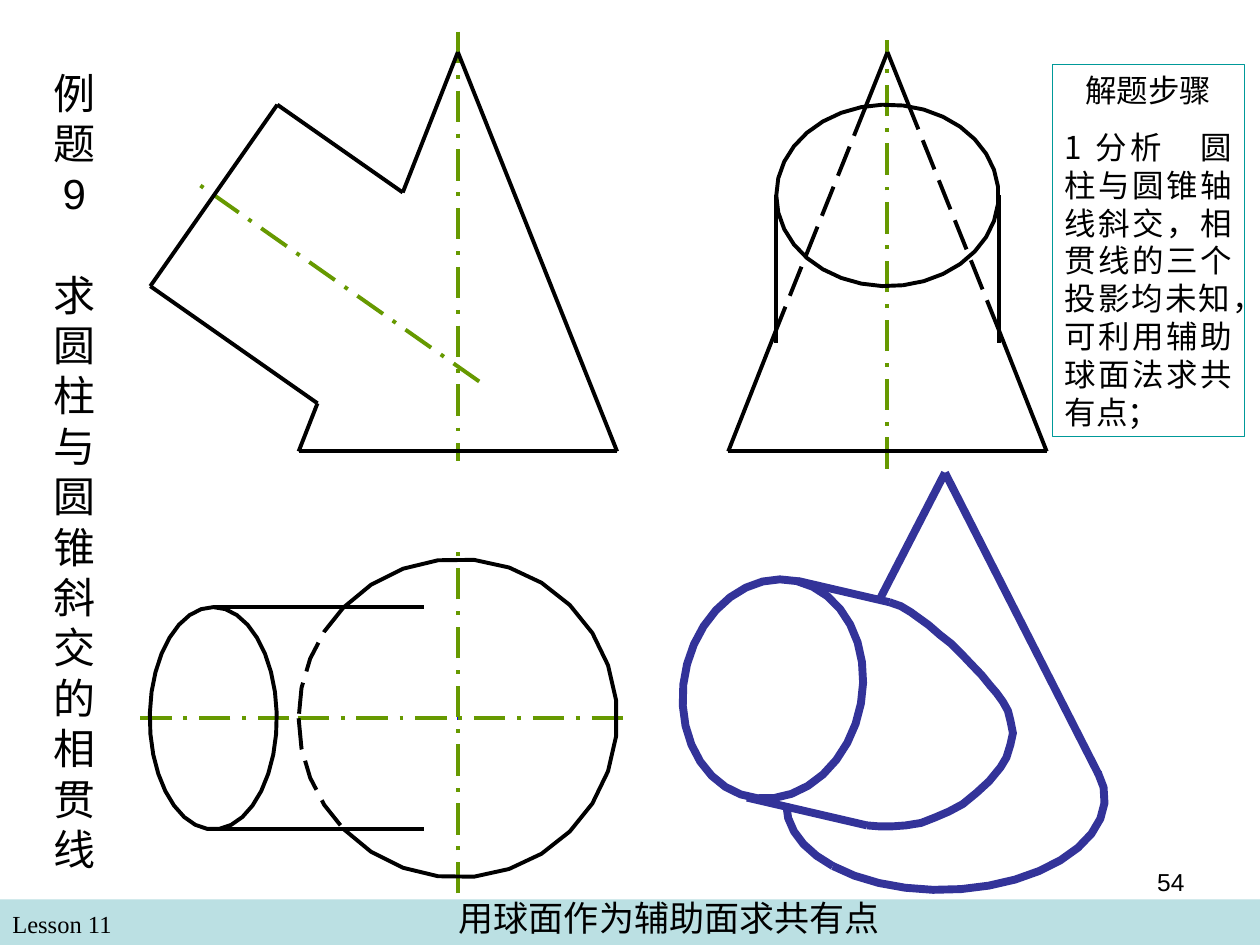
from itertools import pairwise
from math import cos, radians, sin

from lxml import etree
from pptx import Presentation
from pptx.dml.color import RGBColor
from pptx.enum import dml, shapes, text
from pptx.oxml.ns import qn
from pptx.util import Cm, Pt

BLACK, GREEN, INDIGO, BLUE = "000000", "669900", "333399", "0000FF"
SOLID = None
DASHED = dml.MSO_LINE.LONG_DASH
CENTRE_LINE = dml.MSO_LINE.LONG_DASH_DOT

TITLE = ["例题9", "求圆柱与圆锥斜交的相贯线"]
STEPS = ["解题步骤",
         "1 分析　圆柱与圆锥轴线斜交，相贯线的三个投影均未知，可利用辅助球面法求共有点；"]

# Shared dimensions of the three views, in cm
FRONT_X, SIDE_X, PLAN_Y = 9.23, 17.89, 14.48
APEX_Y, BASE_Y = 1.05, 9.1
CONE_R, TUBE_R = 3.21, 2.24
TUBE_X, TUBE_Y = 4.3, 3.94
PLAN_TUBE_END, SIDE_TUBE_END = 8.54, 6.91
HIDDEN_TOP, HIDDEN_BOTTOM = (0.44, 2.15), (TUBE_R, 6.64)

AXES = [
    [(6, PLAN_Y), (12.75, PLAN_Y)],
    [(FRONT_X, 18.01), (FRONT_X, 10.95)],
    [(FRONT_X, 0.64), (FRONT_X, 9.3)],
    [(SIDE_X, 9.45), (SIDE_X, 0.8)],
    [(9.66, 7.69), (4.04, 3.74)],
    [(5.83, PLAN_Y), (2.75, PLAN_Y)],
]
FRONT_OUTLINE = [
    (FRONT_X + CONE_R, BASE_Y), (FRONT_X - CONE_R, BASE_Y), (6.4, 8.13),
    (3.03, 5.77), (5.59, 2.11), (8.12, 3.88), (FRONT_X, APEX_Y),
    (FRONT_X + CONE_R, BASE_Y),
]
# Ellipses: centre x, centre y, radius x, radius y, skew in degrees
PLAN_CONE = (FRONT_X, PLAN_Y, CONE_R, CONE_R, 0)
PLAN_TUBE = (TUBE_X, PLAN_Y, 1.28, TUBE_R, 0)
SIDE_TUBE = (SIDE_X, TUBE_Y, TUBE_R, 1.83, 0)
SOLID_TUBE = (15.58, 13.89, 1.82, 2.21, -5)
SOLID_BASE = (19.06, 16.15, CONE_R, 1.79, -2)
# Arcs: ellipse, start angle, end angle, number of chords, dash
VIEW_ARCS = [
    (PLAN_CONE, 224, 180, 4, DASHED),
    (PLAN_CONE, 136, -136, 21, SOLID),
    (PLAN_CONE, 180, 136, 4, DASHED),
    (PLAN_TUBE, 270, -90, 33, SOLID),
    (SIDE_TUBE, 180, -180, 33, SOLID),
]
SOLID_ARCS = [
    (SOLID_BASE, 180, 135, 5, SOLID),
    (SOLID_BASE, 135, -17, 15, SOLID),
    (SOLID_TUBE, 209, -151, 33, SOLID),
]
SOLID_INTERSECTION = [
    (17.93, 12.14), (18.16, 12.22), (18.36, 12.34), (18.47, 12.42), (18.72, 12.6),
    (18.95, 12.8), (19.18, 12.98), (19.38, 13.18), (19.58, 13.39), (19.79, 13.61),
    (19.96, 13.82), (20.09, 13.97), (20.22, 14.15), (20.32, 14.33), (20.37, 14.53),
    (20.42, 14.78), (20.37, 15.01), (20.29, 15.27), (20.17, 15.47), (19.94, 15.75),
    (19.69, 15.98), (19.41, 16.21), (19.13, 16.36), (18.85, 16.48), (18.57, 16.59),
    (18.26, 16.64), (17.98, 16.66), (17.73, 16.66), (17.48, 16.64),
]
SOLID_EDGES = [
    [(15.06, 16.08), (17.48, 16.64)],
    [(17.93, 12.14), (16.08, 11.71)],
    [(19.05, 9.53), (17.73, 12.09)],
    [(22.14, 15.6), (19.05, 9.53)],
]


def rgb(colour):
    return RGBColor.from_string(colour)


def style_line(line, colour, width, dash):
    line.color.rgb = rgb(colour)
    line.width = Pt(width)
    if dash:
        line.dash_style = dash


def draw_lines(parent, points, colour=BLACK, width=2.25, dash=SOLID):
    """Join consecutive points with straight connectors."""
    for start, end in pairwise(points):
        edge = parent.add_connector(shapes.MSO_CONNECTOR.STRAIGHT,
                                    *map(Cm, start + end))
        style_line(edge.line, colour, width, dash)
        etree.SubElement(edge._element.spPr, qn("a:effectLst"))


def draw_curve(parent, points, colour=BLACK, width=2.25, dash=SOLID):
    first, *rest = [(Cm(x), Cm(y)) for x, y in points]
    builder = parent.build_freeform(*first)
    builder.add_line_segments(rest, close=False)
    curve = builder.convert_to_shape()
    curve.shadow.inherit = False
    curve.fill.background()
    style_line(curve.line, colour, width, dash)


def arc_points(ellipse, start, end, chords):
    cx, cy, rx, ry, skew = ellipse
    angles = [start + (end - start) * i / chords for i in range(chords + 1)]
    return [(cx + rx * cos(radians(a)), cy + ry * sin(radians(a + skew)))
            for a in angles]


def write(shape, lines, size, font, aligns, gap=0):
    """Fill a shape with paragraphs, spaced by gap points."""
    frame = shape.text_frame
    frame.word_wrap = True
    frame.auto_size = text.MSO_AUTO_SIZE.NONE
    frame.text = "\n".join(lines)
    for i, (paragraph, align) in enumerate(zip(frame.paragraphs, aligns)):
        paragraph.alignment = align
        if i:
            paragraph.space_before = Pt(gap)
        paragraph.font.size = Pt(size)
        paragraph.font.name = font
        paragraph.font.color.rgb = rgb(BLACK)


def add_label(slide, box, label, size, font, align):
    write(slide.shapes.add_textbox(*map(Cm, box)), [label], size, font, [align])


def add_panel(slide, box):
    panel = slide.shapes.add_shape(shapes.MSO_SHAPE.RECTANGLE, *map(Cm, box))
    panel.shadow.inherit = False
    return panel


def draw_views(parent):
    draw_lines(parent, [(FRONT_X - 0.01, PLAN_Y), (FRONT_X + 0.01, PLAN_Y)], BLUE)
    for axis in AXES:
        draw_lines(parent, axis, GREEN, dash=CENTRE_LINE)
    draw_lines(parent, FRONT_OUTLINE)
    for *arc, dash in VIEW_ARCS:
        draw_curve(parent, arc_points(*arc), dash=dash)
    for side in (-1, 1):
        tube_y = PLAN_Y + side * TUBE_R
        draw_lines(parent, [(TUBE_X, tube_y), (PLAN_TUBE_END, tube_y)])
        tube_x = SIDE_X + side * TUBE_R
        draw_lines(parent, [(tube_x, TUBE_Y), (tube_x, SIDE_TUBE_END)])
        top, bottom = [(SIDE_X + side * dx, y) for dx, y in (HIDDEN_TOP, HIDDEN_BOTTOM)]
        corner = (SIDE_X + side * CONE_R, BASE_Y)
        draw_lines(parent, [(SIDE_X, APEX_Y), top])
        draw_lines(parent, [top, bottom][::-side], dash=DASHED)
        draw_lines(parent, [bottom, corner, (SIDE_X, BASE_Y)])


def draw_solid(parent):
    for *arc, dash in SOLID_ARCS:
        draw_curve(parent, arc_points(*arc), INDIGO, 4.5, dash)
    draw_curve(parent, SOLID_INTERSECTION, INDIGO, 4.5)
    for edge in SOLID_EDGES:
        draw_lines(parent, edge, INDIGO, 4.5)


def main():
    deck = Presentation()
    deck.slide_width, deck.slide_height = Cm(25.4), Cm(19.05)
    slide = deck.slides.add_slide(deck.slide_layouts[5])
    align = text.PP_ALIGN

    title = slide.shapes.title
    title.left, title.top, title.width, title.height = map(Cm, (0.79, 0.62, 1.42, 17.73))
    title.text_frame.vertical_anchor = text.MSO_ANCHOR.MIDDLE
    write(title, TITLE, 24, "Arial", [align.CENTER] * 2, gap=29)

    footer = add_panel(slide, (0, 18.13, 25.4, 0.92))
    footer.fill.solid()
    footer.fill.fore_color.rgb = rgb("BBE0E3")
    footer.line.fill.background()
    add_label(slide, (0, 18.21, 12.27, 0.86), "Lesson 11", 14, "Times New Roman", align.LEFT)
    add_label(slide, (9, 17.95, 9.04, 1.12), "用球面作为辅助面求共有点", 20,
              "Times New Roman", align.LEFT)

    draw_views(slide.shapes)
    draw_solid(slide.shapes.add_group_shape().shapes)

    steps = add_panel(slide, (21.21, 1.3, 3.88, 7.5))
    steps.fill.background()
    style_line(steps.line, "009999", 0.5, SOLID)
    steps.text_frame.vertical_anchor = text.MSO_ANCHOR.TOP
    write(steps, STEPS, 18, "Noto Sans CJK SC", [align.CENTER, align.JUSTIFY], gap=11.2)
    add_label(slide, (18.21, 17.35, 5.92, 1.32), "54", 14, "Arial", align.RIGHT)

    deck.save("out.pptx")


if __name__ == "__main__":
    main()
